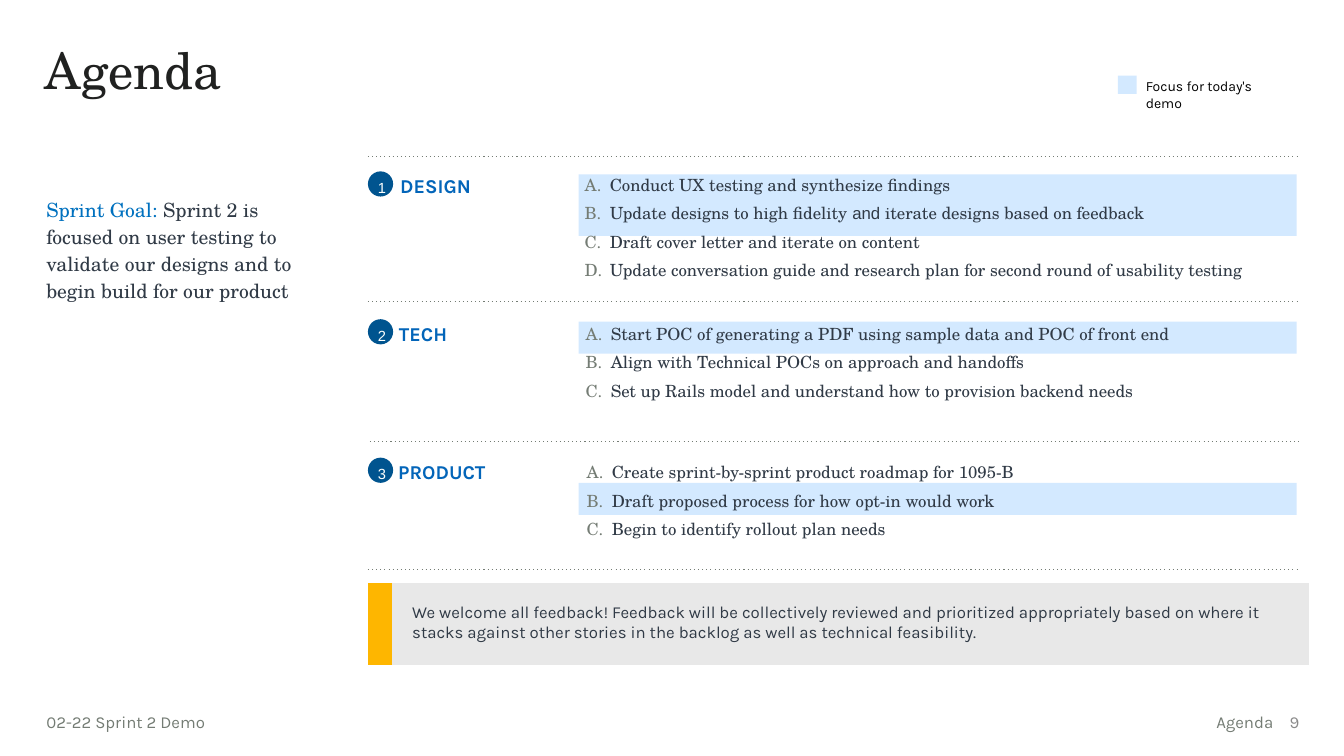
from lxml.etree import SubElement
from pptx import Presentation
from pptx.dml.color import RGBColor
from pptx.enum.shapes import MSO_CONNECTOR as Connector, MSO_SHAPE as Preset
from pptx.enum.text import MSO_ANCHOR as Anchor, PP_ALIGN as Align
from pptx.oxml.ns import qn
from pptx.util import Pt

COLORS = {
    "title": "202120", "text": "303A46", "muted": "747C74", "number": "8A8A8A",
    "goal": "0071BF", "heading": "0365B9", "badge": "00548F", "badge_text": "FDFFFD",
    "focus": "D3E9FF", "accent": "FEB600", "panel": "E8E8E8", "black": "000000",
}
SERIF, SANS, PLAIN = "TeX Gyre Schola", "Karla", "Arial"
NO_TABLE_STYLE = "{2D5ABB26-0587-4C30-8999-92F81FD0307C}"
INSETS = (7.2, 3.6, 7.2, 3.6)


def color(name):
    return RGBColor.from_string(COLORS[name])


def write(paragraph, text, size=12, font=SANS, fill="text", bold=False, align=None, spacing=None):
    """Add one formatted run to a paragraph."""
    if align is not None:
        paragraph.alignment = align
    if spacing is not None:
        paragraph.line_spacing = spacing
    run = paragraph.add_run()
    run.text = text
    run.font.size, run.font.name, run.font.bold = Pt(size), font, bold
    run.font.color.rgb = color(fill)


class AgendaSlide:
    def __init__(self, presentation):
        self.slide = presentation.slides.add_slide(presentation.slide_layouts[5])
        self.shapes = self.slide.shapes

    def frame(self, shape, insets=INSETS, anchor=Anchor.TOP):
        frame = shape.text_frame
        frame.word_wrap = True
        frame.vertical_anchor = anchor
        (frame.margin_left, frame.margin_top,
         frame.margin_right, frame.margin_bottom) = map(Pt, insets)
        return frame

    def title(self, text, left, top, width, height):
        shape = self.shapes.title
        shape.left, shape.top, shape.width, shape.height = map(Pt, (left, top, width, height))
        write(self.frame(shape).paragraphs[0], text, size=36, font=SERIF, fill="title",
              align=Align.LEFT, spacing=0.9)

    def text(self, text, left, top, width, height, insets=INSETS, anchor=Anchor.TOP, **style):
        shape = self.shapes.add_textbox(*map(Pt, (left, top, width, height)))
        paragraph = self.frame(shape, insets, anchor).paragraphs[0]
        write(paragraph, text, **style)
        return paragraph

    def block(self, preset, fill, left, top, width, height):
        shape = self.shapes.add_shape(preset, *map(Pt, (left, top, width, height)))
        shape.shadow.inherit = False
        shape.fill.solid()
        shape.fill.fore_color.rgb = color(fill)
        shape.line.fill.background()
        return shape

    def badge(self, number, left, top):
        shape = self.block(Preset.OVAL, "badge", left, top, 18, 18)
        frame = self.frame(shape, (4.5,) * 4, Anchor.MIDDLE)
        write(frame.paragraphs[0], str(number), size=10.5, font=PLAIN, fill="badge_text",
              align=Align.CENTER, spacing=1.4)

    def dotted_line(self, left, top, width):
        line = self.shapes.add_connector(
            Connector.STRAIGHT, *map(Pt, (left, top, left + width, top)))
        line.line.color.rgb = color("muted")
        line.line.width = Pt(0.75)
        properties = line._element.spPr
        SubElement(properties.find(qn("a:ln")), qn("a:prstDash"), val="dot")
        SubElement(properties, qn("a:effectLst"))

    def lettered_list(self, items, left, top, width, height):
        shape = self.shapes.add_textbox(*map(Pt, (left, top, width, height)))
        frame = self.frame(shape, (0,) * 4)
        for index, item in enumerate(items):
            paragraph = frame.add_paragraph() if index else frame.paragraphs[0]
            if index:
                paragraph.space_before = Pt(6)
            properties = paragraph._p.get_or_add_pPr()
            properties.set("marL", str(Pt(18)))
            properties.set("indent", str(-Pt(18)))
            bullet_color = SubElement(properties, qn("a:buClr"))
            SubElement(bullet_color, qn("a:srgbClr"), val=COLORS["muted"])
            SubElement(properties, qn("a:buAutoNum"), type="alphaUcPeriod")
            for text, font in item if isinstance(item, list) else [(item, SERIF)]:
                write(paragraph, text, font=font)

    def callout(self, text, left, top, widths, height):
        table = self.shapes.add_table(
            1, 2, *map(Pt, (left, top, sum(widths), height))).table
        table.first_row = table.horz_banding = False
        table._tbl.tblPr.find(qn("a:tableStyleId")).text = NO_TABLE_STYLE
        for index, (width, fill) in enumerate(zip(widths, ("accent", "panel"))):
            table.columns[index].width = Pt(width)
            cell = table.cell(0, index)
            cell.fill.solid()
            cell.fill.fore_color.rgb = color(fill)
        cell.margin_left = cell.margin_top = cell.margin_right = cell.margin_bottom = Pt(14.4)
        write(cell.text_frame.paragraphs[0], text)


# Each section: heading, left of heading, top of badge, left and top of list,
# top and height of the focus band, list items
SECTIONS = [
    ("DESIGN", 285.8, 122.4, 417.6, 124.6, 124.6, 43.9, [
        "Conduct UX testing and synthesize findings",
        [("Update designs to high fidelity ", SERIF), ("and ", PLAIN),
         ("iterate designs based on feedback", SERIF)],
        "Draft cover letter and iterate on content",
        "Update conversation guide and research plan for second round of usability testing"]),
    ("TECH", 285, 228, 418.3, 231.1, 229.7, 23, [
        "Start POC of generating a PDF using sample data and POC of front end",
        "Align with Technical POCs on approach and handoffs",
        "Set up Rails model and understand how to provision backend needs"]),
    ("PRODUCT", 284.4, 326.9, 419, 329.8, 344.9, 23, [
        "Create sprint-by-sprint product roadmap for 1095-B",
        "Draft proposed process for how opt-in would work",
        "Begin to identify rollout plan needs"]),
]
LEFT, WIDTH = 262.8, 664


def main():
    presentation = Presentation()
    presentation.slide_width, presentation.slide_height = Pt(960), Pt(540)
    agenda = AgendaSlide(presentation)

    # Title and sprint goal
    agenda.title("Agenda", 24.5, 29.5, 894, 59)
    goal = agenda.text("Sprint Goal:", 26, 135.4, 197.3, 172, size=14, font=SERIF,
                       fill="goal", spacing=1.15)
    write(goal, " Sprint 2 is focused on user testing to validate our designs "
                "and to begin build for our product", size=14, font=SERIF)

    # Legend
    agenda.block(Preset.RECTANGLE, "focus", 798.5, 54, 13.5, 13)
    agenda.text("Focus for today's demo", 811.4, 51.8, 112.3, 19.4, size=10, fill="black")

    # Sections
    for number, section in enumerate(SECTIONS, 1):
        heading, heading_left, top, list_left, list_top, band_top, band_height, items = section
        agenda.block(Preset.RECTANGLE, "focus", 413.3, band_top, 513, band_height)
        agenda.badge(number, LEFT, top)
        agenda.text(heading, heading_left, top, 70, 31.7, insets=(0, 3.6, 0, 3.6),
                    size=14, fill="heading", bold=True, spacing=0.9)
        agenda.lettered_list(items, list_left, list_top, 500, 20.5 * len(items))

    # Dividers
    for left, top in ((LEFT, 111.6), (LEFT, 215.3), (264.2, 315.4), (LEFT, 406.8)):
        agenda.dotted_line(left, top, WIDTH)

    # Feedback note
    agenda.callout("We welcome all feedback! Feedback will be collectively reviewed and "
                   "prioritized appropriately based on where it stacks against other "
                   "stories in the backlog as well as technical feasibility.",
                   LEFT, 416.6, (9.4, 655), 58.3)

    # Footer
    agenda.text("02-22 Sprint 2 Demo", 33.1, 504.7, 214.6, 21.6,
                insets=(0, 3.6, 7.2, 3.6), fill="muted")
    agenda.text("Agenda", 702, 504.7, 214.6, 21.6, fill="muted", align=Align.RIGHT)
    agenda.text("9", 903.6, 501.1, 31.7, 28.8, anchor=Anchor.MIDDLE, fill="number",
                align=Align.RIGHT)

    presentation.save("out.pptx")


if __name__ == "__main__":
    main()
